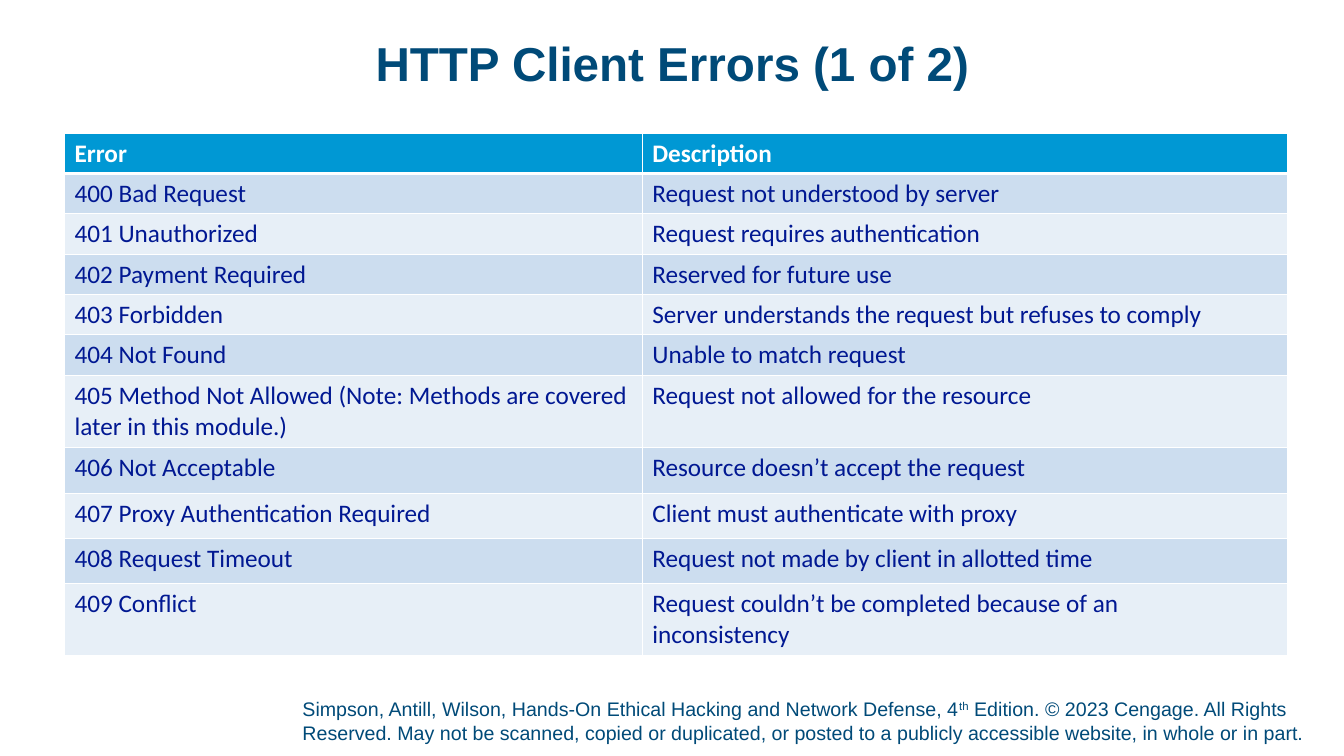
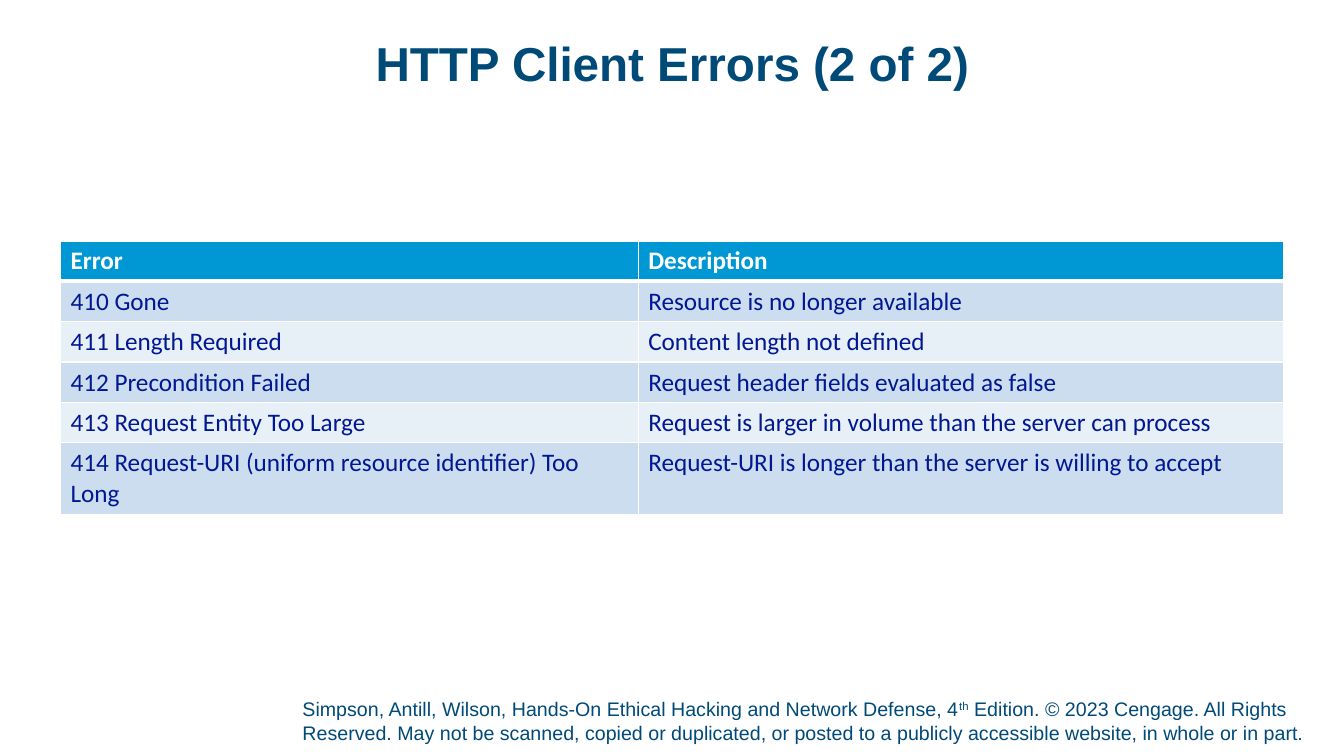
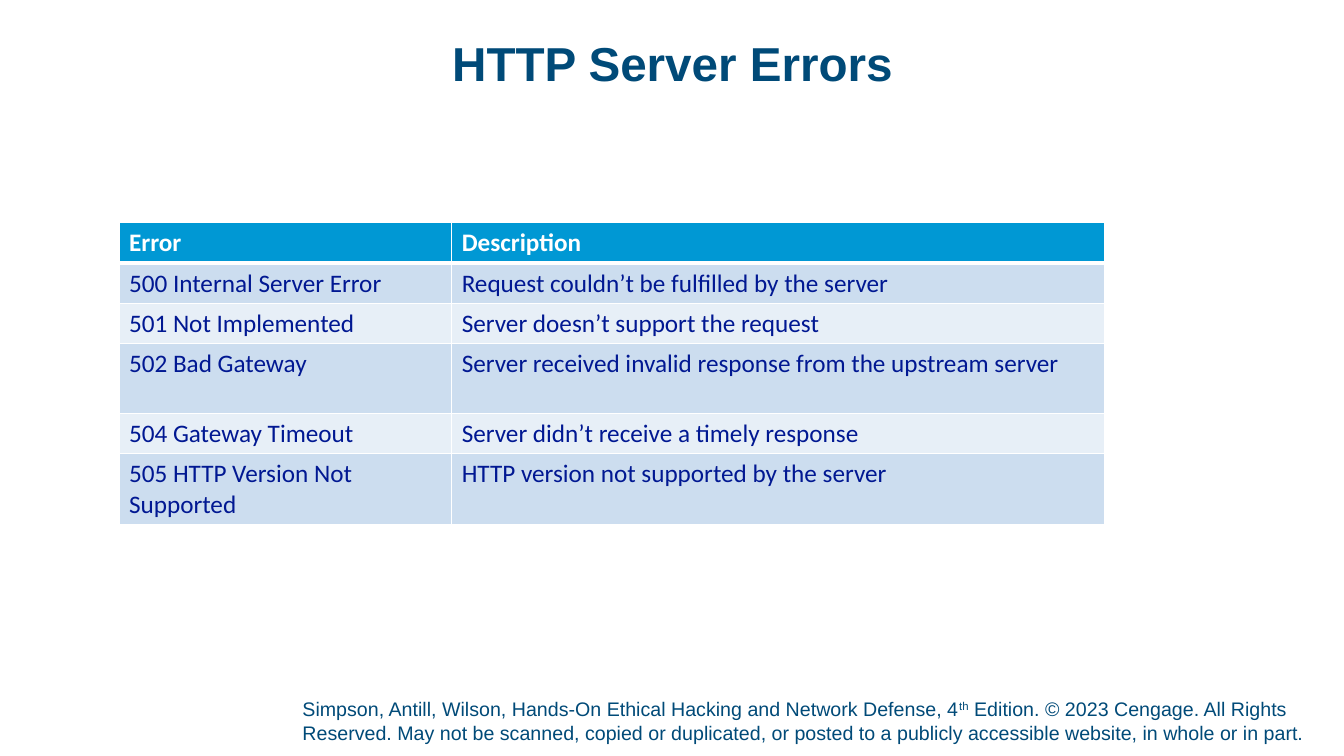
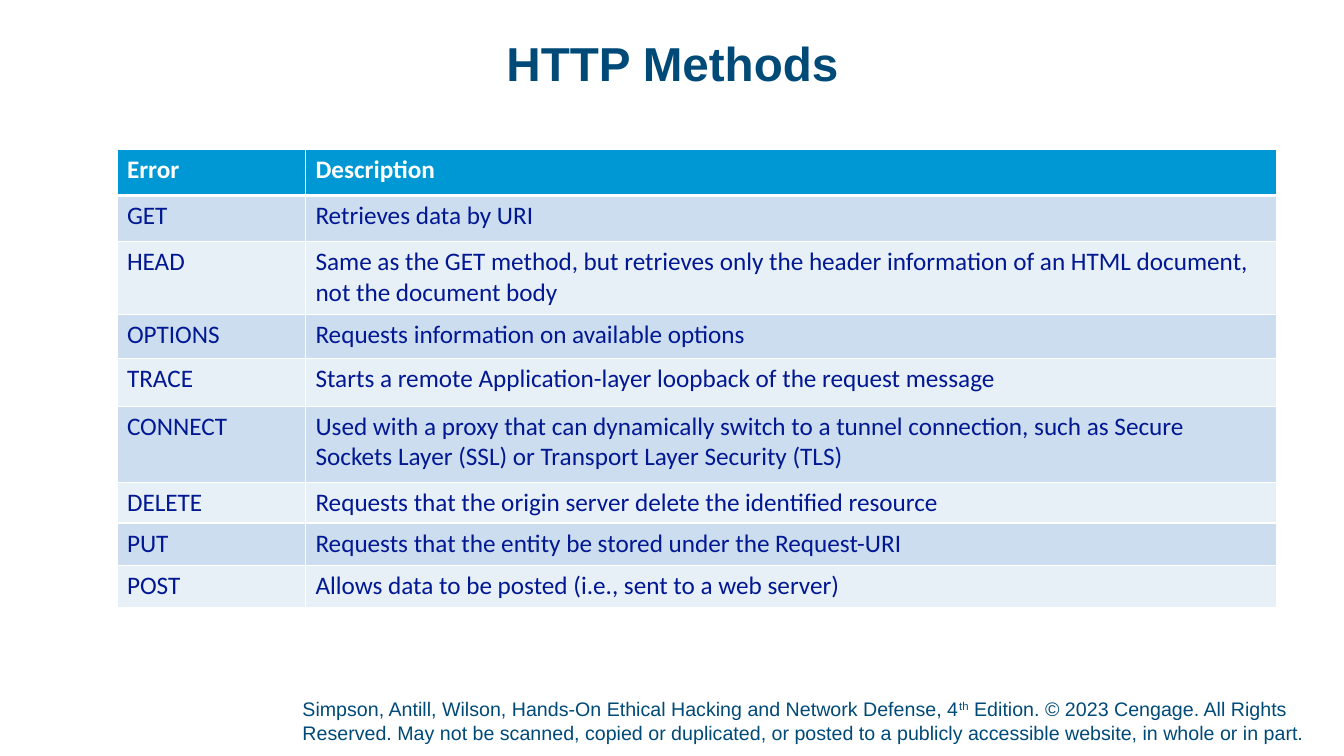
from dataclasses import dataclass

from pptx import Presentation
from pptx.dml.color import RGBColor
from pptx.enum.text import MSO_ANCHOR, PP_ALIGN
from pptx.oxml.ns import qn
from pptx.util import Inches, Pt
from lxml import etree

CENTER, LEFT = PP_ALIGN.CENTER, PP_ALIGN.LEFT
TOP, BOTTOM = MSO_ANCHOR.TOP, MSO_ANCHOR.BOTTOM


@dataclass(frozen=True)
class Theme:
    heading: str = "004A78"
    header_fill: str = "0098D4"
    header_text: str = "FFFFFF"
    body_text: str = "011892"
    bands: tuple = ("CCDDEF", "E7EFF7")
    rule: str = "FFFFFF"
    thin: float = 1
    thick: float = 3
    title_font: str = "Arial"
    table_font: str = "Calibri"
    title_size: float = 34
    footer_size: float = 14
    table_size: float = 18
    row: float = 0.4


THEME = Theme()

# Content
SLIDE_SIZE = (13.33, 7.5)
TITLE_BOX = (0.92, 0.4, 11.5, 0.74)
FOOTER_BOX = (3, 6.91, 9.96, 0.52)
FOOTER = [  # text, raised
    ("Simpson, Antill, Wilson, Hands-On Ethical Hacking and Network Defense, 4", False),
    ("th", True),
    (" Edition. © 2023 Cengage. All Rights Reserved. May not be scanned, copied or "
     "duplicated, or posted to a publicly accessible website, in whole or in part.", False),
]
HEADER = ("Error", "Description")

# Each row: error, description; "heights" lists rows (header is 0) unlike the theme's
SLIDES = [
    {
        "title": "HTTP Client Errors (1 of 2)",
        "origin": (0.64, 1.32),
        "columns": (5.73, 6.4),
        "heights": {6: 0.72, 7: 0.45, 8: 0.45, 9: 0.45, 10: 0.71},
        "rows": [
            ("400 Bad Request", "Request not understood by server"),
            ("401 Unauthorized", "Request requires authentication"),
            ("402 Payment Required", "Reserved for future use"),
            ("403 Forbidden", "Server understands the request but refuses to comply"),
            ("404 Not Found", "Unable to match request"),
            ("405 Method Not Allowed (Note: Methods are covered later in this module.)",
             "Request not allowed for the resource"),
            ("406 Not Acceptable", "Resource doesn’t accept the request"),
            ("407 Proxy Authentication Required", "Client must authenticate with proxy"),
            ("408 Request Timeout", "Request not made by client in allotted time"),
            ("409 Conflict", "Request couldn’t be completed because of an\ninconsistency"),
        ],
    },
    {
        "title": "HTTP Client Errors (2 of 2)",
        "origin": (0.6, 2.39),
        "columns": (5.73, 6.4),
        "heights": {5: 0.71},
        "rows": [
            ("410 Gone", "Resource is no longer available"),
            ("411 Length Required", "Content length not defined"),
            ("412 Precondition Failed", "Request header fields evaluated as false"),
            ("413 Request Entity Too Large",
             "Request is larger in volume than the server can process"),
            ("414 Request-URI (uniform resource identifier) Too Long",
             "Request-URI is longer than the server is willing to accept"),
        ],
    },
    {
        "title": "HTTP Server Errors",
        "origin": (1.18, 2.21),
        "columns": (3.3, 6.48),
        "heights": {3: 0.69, 5: 0.69},
        "rows": [
            ("500 Internal Server Error", "Request couldn’t be fulfilled by the server"),
            ("501 Not Implemented", "Server doesn’t support the request"),
            ("502 Bad Gateway", "Server received invalid response from the upstream server"),
            ("504 Gateway Timeout", "Server didn’t receive a timely response"),
            ("505 HTTP Version Not Supported", "HTTP version not supported by the server"),
        ],
    },
    {
        "title": "HTTP Methods",
        "origin": (1.16, 1.48),
        "columns": (1.87, 9.63),
        "heights": {0: 0.46, 1: 0.46, 2: 0.72, 3: 0.44, 4: 0.47, 5: 0.76,
                    6: 0.39, 7: 0.42, 8: 0.42},
        "rows": [
            ("GET", "Retrieves data by URI"),
            ("HEAD", "Same as the GET method, but retrieves only the header information "
                     "of an HTML document, not the document body"),
            ("OPTIONS", "Requests information on available options"),
            ("TRACE", "Starts a remote Application-layer loopback of the request message"),
            ("CONNECT", "Used with a proxy that can dynamically switch to a tunnel connection, "
                        "such as Secure Sockets Layer (SSL) or Transport Layer Security (TLS)"),
            ("DELETE", "Requests that the origin server delete the identified resource"),
            ("PUT", "Requests that the entity be stored under the Request-URI"),
            ("POST", "Allows data to be posted (i.e., sent to a web server)"),
        ],
    },
]


# Text
def add_run(paragraph, text, font, size, color, bold=False, raised=False):
    run = paragraph.add_run()
    run.text = text
    run.font.name, run.font.size, run.font.bold = font, Pt(size), bold
    run.font.color.rgb = RGBColor.from_string(color)
    if raised:
        run.font._element.set("baseline", "30000")


def add_text(slide, box, runs, size, bold=False, align=LEFT, anchor=TOP, spacing=1.0, bottom=0):
    frame = slide.shapes.add_textbox(*map(Inches, box)).text_frame
    frame.word_wrap = True
    frame.vertical_anchor = anchor
    frame.margin_left = frame.margin_top = frame.margin_right = 0
    frame.margin_bottom = Inches(bottom)
    paragraph = frame.paragraphs[0]
    paragraph.alignment, paragraph.line_spacing = align, spacing
    for text, raised in runs:
        add_run(paragraph, text, THEME.title_font, size, THEME.heading, bold, raised)


# Table
def add_borders(cell, top, bottom):
    properties = cell._tc.get_or_add_tcPr()
    widths = {"a:lnL": THEME.thin, "a:lnR": THEME.thin, "a:lnT": top, "a:lnB": bottom}
    for tag, width in widths.items():
        line = etree.SubElement(properties, qn(tag), w=str(Pt(width)))
        fill = etree.SubElement(line, qn("a:solidFill"))
        etree.SubElement(fill, qn("a:srgbClr"), val=THEME.rule)


def fill_cell(cell, text, row):
    is_header = row == 0
    add_borders(cell, THEME.thick if row == 1 else THEME.thin,
                THEME.thick if is_header else THEME.thin)
    cell.fill.solid()
    cell.fill.fore_color.rgb = RGBColor.from_string(
        THEME.header_fill if is_header else THEME.bands[(row - 1) % 2])
    frame = cell.text_frame
    for i, line in enumerate(text.split("\n")):
        paragraph = frame.add_paragraph() if i else frame.paragraphs[0]
        add_run(paragraph, line, THEME.table_font, THEME.table_size,
                THEME.header_text if is_header else THEME.body_text, is_header)


def add_error_table(slide, origin, columns, heights, rows):
    rows = [HEADER, *rows]
    row_heights = [heights.get(i, THEME.row) for i in range(len(rows))]
    box = (*origin, sum(columns), sum(row_heights))
    table = slide.shapes.add_table(len(rows), len(columns), *map(Inches, box)).table
    table.horz_banding = False
    for column, width in zip(table.columns, columns):
        column.width = Inches(width)
    for r, (texts, height) in enumerate(zip(rows, row_heights)):
        table.rows[r].height = Inches(height)
        for c, text in enumerate(texts):
            fill_cell(table.cell(r, c), text, r)


def main():
    deck = Presentation()
    deck.slide_width, deck.slide_height = map(Inches, SLIDE_SIZE)
    blank = deck.slide_layouts[6]
    for content in SLIDES:
        slide = deck.slides.add_slide(blank)
        add_text(slide, FOOTER_BOX, FOOTER, THEME.footer_size, anchor=BOTTOM, bottom=0.05)
        add_text(slide, TITLE_BOX, [(content["title"], False)], THEME.title_size,
                 bold=True, align=CENTER, spacing=0.9)
        add_error_table(slide, content["origin"], content["columns"],
                        content["heights"], content["rows"])
    deck.save("out.pptx")


if __name__ == "__main__":
    main()
